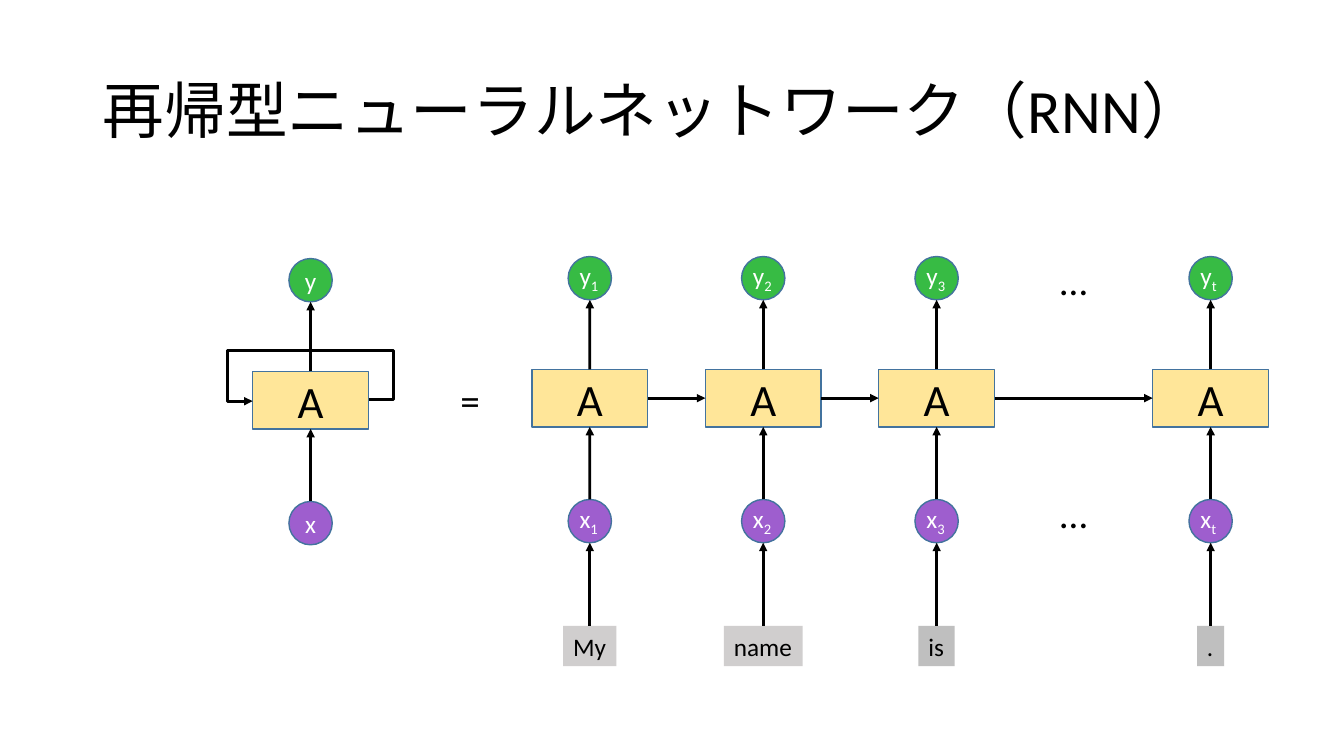
import dataclasses

import pptx
import pptx.dml.color
import pptx.enum.shapes
import pptx.enum.text
import pptx.oxml
import pptx.oxml.ns
import pptx.util

IN = pptx.util.Inches
KIND = pptx.enum.shapes.MSO_SHAPE
LINK = pptx.enum.shapes.MSO_CONNECTOR
ALIGN = pptx.enum.text.PP_ALIGN
ANCHOR = pptx.enum.text.MSO_ANCHOR
FIT = pptx.enum.text.MSO_AUTO_SIZE


@dataclasses.dataclass(frozen=True)
class Theme:
    """Colours, font and type sizes."""
    font: str = "Calibri"
    ink: str = "000000"
    pale: str = "FFFFFF"
    edge: str = "43739E"
    input: str = "9E5ECE"
    cell: str = "FFE699"
    output: str = "37BB44"
    light: str = "D0CECE"
    dark: str = "BFBFBF"
    title: int = 44
    state: int = 32
    sign: int = 28
    label: int = 18


THEME = Theme()

# Grid: time steps sit one column apart; rows are centre heights in inches.
START, PITCH = 5.85, 1.72
OUT_ROW, CELL_ROW, IN_ROW, WORD_ROW = 2.76, 3.95, 5.17, 6.41
DOT, CELL_W, CELL_H = 0.43, 1.15, 0.57
SIGN_W, WORD_H = 0.52, 0.4
LABEL_W, LABEL_H, LABEL_UP = 0.4, 0.71, 0.23
ROLL_COL, EQUAL_COL, GAP_COL, ROLL_DROP = -1.61, -0.69, 2.79, 0.02
# Connection sites of a rectangle, and the lowest one of a circle
TOP, LEFT, BOTTOM, RIGHT, DOT_BOTTOM = 0, 1, 2, 3, 4
# Each site as shares of a shape's width and height
SITES = {TOP: (0.5, 0), LEFT: (0, 0.5), BOTTOM: (0.5, 1), RIGHT: (1, 0.5)}
# Column, index, word, word box width, word box colour
STEPS = [
    (0, "1", "My", 0.53, THEME.light),
    (1, "2", "name", 0.78, THEME.light),
    (2, "3", "is", 0.36, THEME.dark),
    (3.58, "t", ".", 0.27, THEME.dark),
]


def col(num):
    """Return the centre of a grid column in inches."""
    return START + PITCH * num


def rgb(code):
    """Turn a hex code into a colour."""
    return pptx.dml.color.RGBColor.from_string(code)


def style(para, size, color, align):
    """Set the font and alignment of a paragraph."""
    para.alignment = align
    para.font.name = THEME.font
    para.font.size = pptx.util.Pt(size)
    para.font.color.rgb = rgb(color)


def box(shapes, kind, mid, row, wide, high, fill, edge=True):
    """Add a filled shape centred on a grid point."""
    shape = shapes.add_shape(kind, IN(mid - wide / 2), IN(row - high / 2),
                             IN(wide), IN(high))
    shape.shadow.inherit = False
    shape.fill.solid()
    shape.fill.fore_color.rgb = rgb(fill)
    if edge:
        shape.line.color.rgb = rgb(THEME.edge)
        shape.line.width = pptx.util.Pt(1)
    else:
        shape.line.fill.background()
    return shape


def write(shape, text, size, color, align=ALIGN.CENTER):
    """Put one styled line of text in a shape."""
    frame = shape.text_frame
    frame.text = text
    style(frame.paragraphs[0], size, color, align)


def line(shapes, kind, start, end):
    """Add a black arrow between two points in inches."""
    link = shapes.add_connector(kind, *map(IN, start + end))
    link.line.color.rgb = rgb(THEME.ink)
    link.line.width = pptx.util.Pt(2)
    names = pptx.oxml.ns.nsdecls("a")
    props = link._element.spPr
    props.find(pptx.oxml.ns.qn("a:ln")).append(
        pptx.oxml.parse_xml('<a:tailEnd %s type="triangle"/>' % names))
    props.append(pptx.oxml.parse_xml("<a:effectLst %s/>" % names))
    return link


def spot(shape, site):
    """Return a connection site of a shape in inches."""
    across, down = SITES[site]
    return ((shape.left + shape.width * across) / IN(1),
            (shape.top + shape.height * down) / IN(1))


def join(shapes, first, out, last, into):
    """Join the connection sites of two shapes with an arrow."""
    side = BOTTOM if into == DOT_BOTTOM else into
    link = line(shapes, LINK.STRAIGHT, spot(first, out), spot(last, side))
    link.begin_connect(first, out)
    link.end_connect(last, side)
    link._element.nvCxnSpPr.cNvCxnSpPr.endCxn.idx = into


def unit(shapes, mid, drop=0):
    """Draw input, cell and output joined upwards; return all three."""
    source = box(shapes, KIND.OVAL, mid, IN_ROW + drop, DOT, DOT, THEME.input)
    cell = box(shapes, KIND.RECTANGLE, mid, CELL_ROW + drop, CELL_W, CELL_H,
               THEME.cell)
    write(cell, "A", THEME.state, THEME.ink)
    result = box(shapes, KIND.OVAL, mid, OUT_ROW + drop, DOT, DOT,
                 THEME.output)
    join(shapes, source, TOP, cell, BOTTOM)
    join(shapes, cell, TOP, result, DOT_BOTTOM)
    return source, cell, result


def loop(shapes, mid, row):
    """Lead an arrow from a cell's right side over its top to its left."""
    rise, side, step = 0.48, 0.25, 0.02
    link = line(shapes, LINK.ELBOW, (mid + CELL_W / 2, row - step / 2),
                (mid - CELL_W / 2, row + step / 2))
    shares = (-side / CELL_W, -rise / step, 1 + side / CELL_W)
    guides = "".join('<a:gd name="adj%d" fmla="val %d"/>'
                     % (num, round(share * 100000))
                     for num, share in enumerate(shares, 1))
    geom = link._element.spPr.find(pptx.oxml.ns.qn("a:prstGeom"))
    geom.getparent().replace(geom, pptx.oxml.parse_xml(
        '<a:prstGeom %s prst="bentConnector5"><a:avLst>%s</a:avLst>'
        "</a:prstGeom>" % (pptx.oxml.ns.nsdecls("a"), guides)))


def area(shapes, mid, top, wide, high, wrap):
    """Add a text box centred on a column that grows with its text."""
    field = shapes.add_textbox(IN(mid - wide / 2), IN(top), IN(wide), IN(high))
    field.text_frame.word_wrap = wrap
    field.text_frame.auto_size = FIT.SHAPE_TO_FIT_TEXT
    return field


def label(shapes, name, index, mid, row):
    """Name a circle with a letter and a subscript index."""
    field = area(shapes, mid, row - LABEL_UP, LABEL_W, LABEL_H, False)
    write(field, name, THEME.label, THEME.pale, ALIGN.LEFT)
    run = field.text_frame.paragraphs[0].add_run()
    run.text = index
    run._r.get_or_add_rPr().set("baseline", "-25000")


def token(shapes, text, mid, wide, fill):
    """Add a grey word box and return it."""
    word = box(shapes, KIND.RECTANGLE, mid, WORD_ROW, wide, WORD_H, fill,
               False)
    word.text_frame.word_wrap = False
    word.text_frame.auto_size = FIT.SHAPE_TO_FIT_TEXT
    write(word, text, THEME.label, THEME.ink, ALIGN.LEFT)
    return word


def head(slide, text):
    """Place and fill the title."""
    title = slide.shapes.title
    title.left, title.top, title.width, title.height = map(
        IN, (0.92, 0.4, 11.5, 1.45))
    write(title, text, THEME.title, THEME.ink, ALIGN.LEFT)
    title.text_frame.vertical_anchor = ANCHOR.MIDDLE
    title.text_frame.auto_size = FIT.NONE
    title.text_frame.paragraphs[0].line_spacing = 0.9


def main():
    """Build the slide and save it."""
    deck = pptx.Presentation()
    deck.slide_width, deck.slide_height = IN(13.33), IN(7.5)
    slide = deck.slides.add_slide(deck.slide_layouts[5])
    shapes = slide.shapes
    head(slide, "再帰型ニューラルネットワーク（RNN）")
    source, _, result = unit(shapes, col(ROLL_COL), ROLL_DROP)
    for dot, name in ((source, "x"), (result, "y")):
        dot.text_frame.word_wrap = False
        write(dot, name, THEME.label, THEME.pale)
    loop(shapes, col(ROLL_COL), CELL_ROW + ROLL_DROP)
    for text, num, top in (("=", EQUAL_COL, 3.68), ("…", GAP_COL, 2.49),
                           ("…", GAP_COL, 4.81)):
        field = area(shapes, col(num), top, SIGN_W, CELL_H, True)
        write(field, text, THEME.sign, THEME.ink)
    prior = None
    for num, index, text, wide, fill in STEPS:
        mid = col(num)
        source, cell, _ = unit(shapes.add_group_shape().shapes, mid)
        if prior is not None:
            join(shapes, prior, RIGHT, cell, LEFT)
        prior = cell
        word = token(shapes, text, mid, wide, fill)
        join(shapes, word, TOP, source, DOT_BOTTOM)
        label(shapes, "y", index, mid, OUT_ROW)
        label(shapes, "x", index, mid, IN_ROW)
    deck.save("out.pptx")


main()
